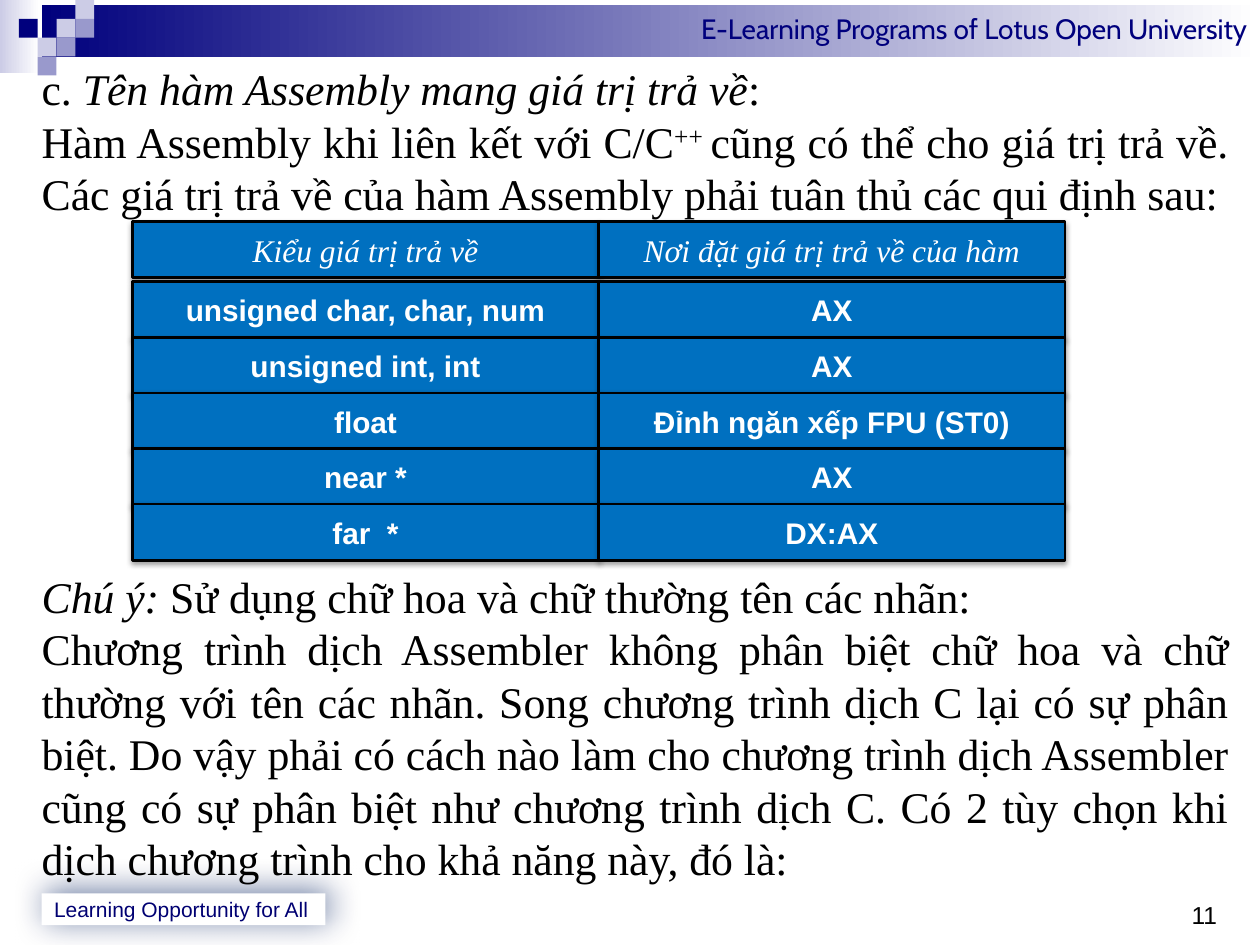
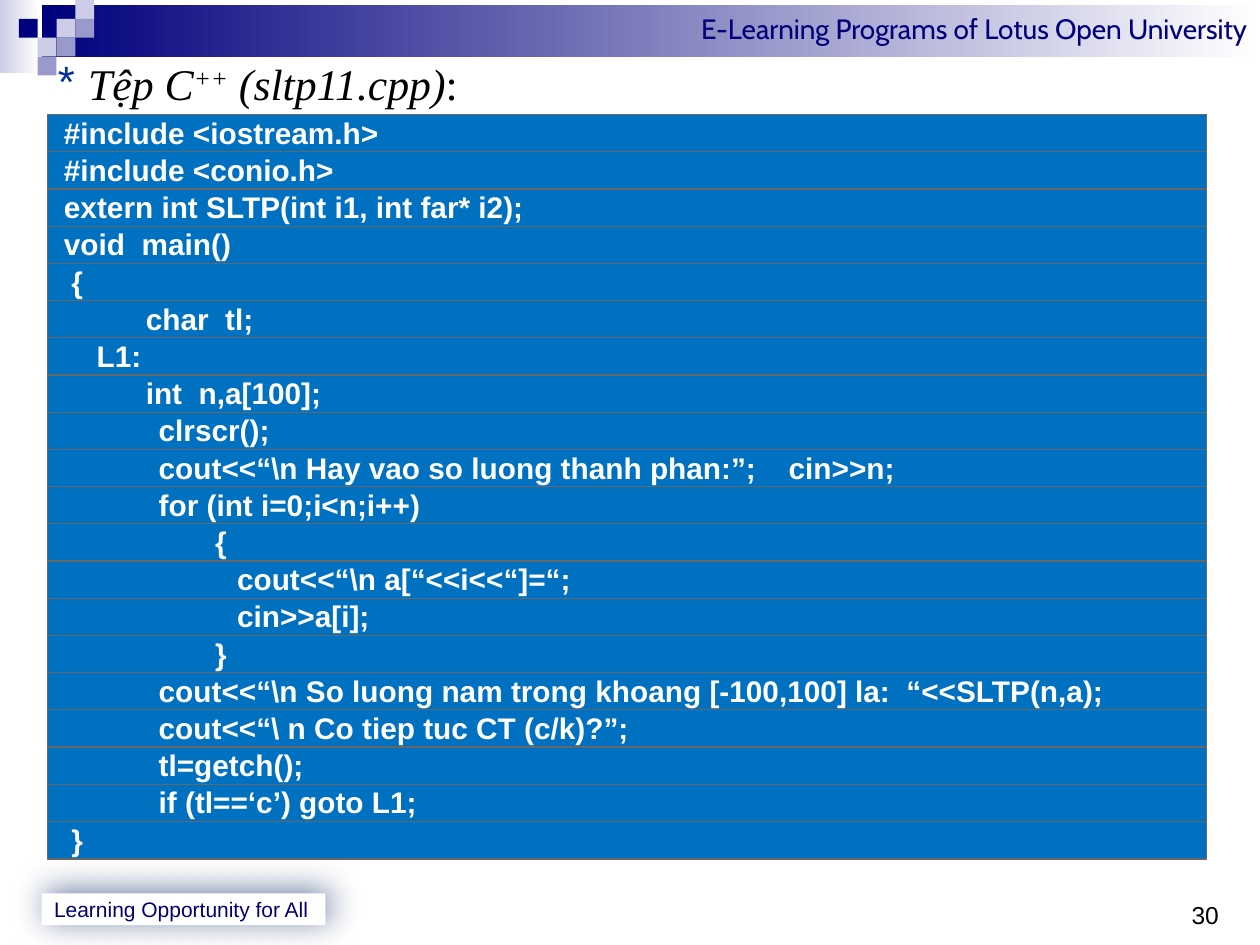
"""Build two lecture slides on calling Assembly functions from C/C++."""
from dataclasses import dataclass, field
from typing import Any

from lxml import etree
from pptx import Presentation
from pptx import util as u
from pptx.dml.color import RGBColor
from pptx.enum import shapes, text
from pptx.oxml import ns

NAVY = RGBColor(0x00, 0x00, 0x7D)
FOOTER_NAVY = RGBColor(0x00, 0x00, 0x72)
GLOW_NAVY = RGBColor(0x00, 0x20, 0x60)
BULLET_BLUE = RGBColor(0x00, 0x33, 0x99)
CELL_BLUE = RGBColor(0x00, 0x70, 0xC0)
PALE = RGBColor(0xCC, 0xCC, 0xE6)
LILAC = RGBColor(0x99, 0x99, 0xCC)
GREY = RGBColor(0x66, 0x66, 0x66)
BLACK = RGBColor(0, 0, 0)
WHITE = RGBColor(0xFF, 0xFF, 0xFF)

RECT = shapes.MSO_SHAPE.RECTANGLE
LEFT, CENTER, RIGHT, JUSTIFY = (
    text.PP_ALIGN.LEFT, text.PP_ALIGN.CENTER, text.PP_ALIGN.RIGHT, text.PP_ALIGN.JUSTIFY)
TOP, MIDDLE = text.MSO_ANCHOR.TOP, text.MSO_ANCHOR.MIDDLE


@dataclass(frozen=True)
class Frame:
    """A place on the slide, in centimetres."""
    left: float
    top: float
    width: float
    height: float

    def lengths(self) -> tuple:
        """Return the four values as lengths."""
        return tuple(map(u.Cm, (self.left, self.top, self.width, self.height)))


@dataclass(frozen=True)
class Style:
    """Font, size and colour of a span."""
    name: str
    size: float
    color: RGBColor
    bold: bool = False
    italic: bool = False


@dataclass(frozen=True)
class Span:
    """Words in one style."""
    words: str
    style: Style
    raised: bool = False


@dataclass(frozen=True)
class Para:
    """A paragraph with its alignment and indents in centimetres."""
    spans: list[Span]
    alignment: Any = LEFT
    margin: float = 0
    hanging: float = 0
    bullet: str = ""
    tab: float = 0
    format: dict[str, Any] = field(default_factory=dict)


@dataclass(frozen=True)
class Shadow:
    """An outer shadow: blur and distance in points, direction in degrees."""
    color: RGBColor
    opacity: int
    blur: float
    distance: float
    direction: int


@dataclass(frozen=True)
class Square:
    """One tile of the corner mosaic."""
    column: int
    row: int
    color: RGBColor


@dataclass(frozen=True)
class CodeLine:
    """A line of source code and its indent in centimetres."""
    indent: float
    words: str


BODY = Style("Times New Roman", 25, BLACK)
BODY_ITALIC = Style("Times New Roman", 25, BLACK, italic=True)
HEADING = Style("Times New Roman", 18, WHITE, italic=True)
CODE = Style("Arial", 17, WHITE, bold=True)
BANNER = Style("Cabin", 16, NAVY)
MOTTO = Style("Arial", 12, FOOTER_NAVY)
NUMBER = Style("Arial", 14, BLACK)
PITCH = {"line_spacing": u.Pt(30)}

CELL_SHADOW = Shadow(BLACK, 38, 3.1, 1.6, 90)
MOTTO_SHADOW = Shadow(GLOW_NAVY, 56, 19, 3, 315)
INSET = (0.25, 0.13)

TILE = 0.38
MOSAIC = [
    Square(3, 1, PALE), Square(4, 0, PALE), Square(4, 1, LILAC), Square(2, 2, PALE),
    Square(1, 1, NAVY), Square(3, 2, LILAC), Square(2, 3, LILAC),
]

RETURN_PLACES = [
    ("Kiểu giá trị trả về", "Nơi đặt giá trị trả về của hàm"),
    ("unsigned char, char, num", "AX"),
    ("unsigned int, int", "AX"),
    ("float", "Đỉnh ngăn xếp FPU (ST0)"),
    ("near *", "AX"),
    ("far  *", "DX:AX"),
]

OUTER, BRACE, LABEL, DECLARED, STATEMENT, LOOP, NESTED = 0.33, 0.48, 0.99, 1.98, 2.24, 3.38, 3.82
PROGRAM = [
    CodeLine(OUTER, "#include <iostream.h>"),
    CodeLine(OUTER, "#include <conio.h>"),
    CodeLine(OUTER, "extern int SLTP(int i1, int far* i2);"),
    CodeLine(OUTER, "void  main()"),
    CodeLine(BRACE, "{"),
    CodeLine(DECLARED, "char  tl;"),
    CodeLine(LABEL, "L1:"),
    CodeLine(DECLARED, "int  n,a[100];"),
    CodeLine(STATEMENT, "clrscr();"),
    CodeLine(STATEMENT, r"cout<<“\n Hay vao so luong thanh phan:”;" + "\tcin>>n;"),
    CodeLine(STATEMENT, "for (int i=0;i<n;i++)"),
    CodeLine(LOOP, "{"),
    CodeLine(NESTED, r"cout<<“\n a[“<<i<<“]=“;"),
    CodeLine(NESTED, "cin>>a[i];"),
    CodeLine(LOOP, "}"),
    CodeLine(STATEMENT, r"cout<<“\n So luong nam trong khoang [-100,100] la:  “<<SLTP(n,a);"),
    CodeLine(STATEMENT, r"cout<<“\ n Co tiep tuc CT (c/k)?”;"),
    CodeLine(STATEMENT, "tl=getch();"),
    CodeLine(STATEMENT, "if (tl==‘c’) goto L1;"),
    CodeLine(BRACE, "}"),
]


def assign(target: Any, values: dict[str, Any]) -> None:
    """Set every named attribute on the target."""
    for name, value in values.items():
        setattr(target, name, value)


def child(parent: Any, tag: str, **attributes: Any) -> Any:
    """Append a drawing element with the given attributes."""
    return etree.SubElement(
        parent, ns.qn(tag), {key: str(value) for key, value in attributes.items()})


def write(box: Any, paras: list[Para], inset: tuple[float, float] = (0, 0),
          anchor: Any = TOP) -> None:
    """Fill a shape with styled paragraphs."""
    across, down = map(u.Cm, inset)
    assign(box.text_frame, {
        "word_wrap": True, "vertical_anchor": anchor, "margin_left": across,
        "margin_right": across, "margin_top": down, "margin_bottom": down})
    for index, para in enumerate(paras):
        line = box.text_frame.add_paragraph() if index else box.text_frame.paragraphs[0]
        assign(line, {"alignment": para.alignment, **para.format})
        properties = line._p.get_or_add_pPr()
        properties.set("marL", str(u.Cm(para.margin)))
        properties.set("indent", str(-u.Cm(para.hanging)))
        if para.bullet:
            child(child(properties, "a:buClr"), "a:srgbClr", val=BULLET_BLUE)
            child(properties, "a:buFont", typeface="Arial")
            child(properties, "a:buChar", char=para.bullet)
        if para.tab:
            child(child(properties, "a:tabLst"), "a:tab", pos=u.Cm(para.tab), algn="l")
        for span in para.spans:
            run = line.add_run()
            run.text = span.words
            style = span.style
            assign(run.font, {"name": style.name, "size": u.Pt(style.size),
                              "bold": style.bold, "italic": style.italic})
            run.font.color.rgb = style.color
            if span.raised:
                run.font._element.set("baseline", "30000")


def draw(page: Any, frame: Frame, fill: RGBColor | tuple[RGBColor, RGBColor] | None = None,
         outline: tuple[RGBColor, float] | None = None, shadow: Shadow | None = None,
         preset: Any = RECT) -> Any:
    """Add a preset shape with a plain or gradient fill."""
    box = page.shapes.add_shape(preset, *frame.lengths())
    if fill is None:
        box.fill.background()
    elif isinstance(fill, RGBColor):
        box.fill.solid()
        box.fill.fore_color.rgb = fill
    else:
        box.fill.gradient()
        box.fill.gradient_angle = 0
        for position, (stop, color) in enumerate(zip(box.fill.gradient_stops, fill)):
            stop.position = position
            stop.color.rgb = color
    if outline:
        box.line.color.rgb, box.line.width = outline[0], u.Pt(outline[1])
    else:
        box.line.fill.background()
    box.shadow.inherit = False
    if shadow:
        effects = box._element.spPr.find(ns.qn("a:effectLst"))
        outer = child(effects, "a:outerShdw", blurRad=u.Pt(shadow.blur),
                      dist=u.Pt(shadow.distance), dir=shadow.direction * 60000,
                      algn="ctr", rotWithShape=0)
        color = child(outer, "a:srgbClr", val=shadow.color)
        child(color, "a:alpha", val=shadow.opacity * 1000)
    return box


def add_page(deck: Any, number: int) -> Any:
    """Add a slide with the banner, mosaic, motto and page number."""
    page = deck.slides.add_slide(deck.slide_layouts[6])
    draw(page, Frame(0, 0, 0.79, 1.47), (PALE, WHITE))
    banner = draw(page, Frame(0.84, 0.1, 24.56, 1.06), (NAVY, WHITE))
    write(banner, [Para([Span("E-Learning Programs of Lotus Open University", BANNER)], RIGHT)],
          INSET)
    for square in MOSAIC:
        draw(page, Frame(square.column * TILE, square.row * TILE, TILE, TILE), square.color)
    motto = draw(page, Frame(0.84, 18.01, 5.72, 0.64), WHITE, shadow=MOTTO_SHADOW)
    write(motto, [Para([Span("Learning Opportunity for All", MOTTO)])], INSET, MIDDLE)
    badge = draw(page, Frame(23.55, 17.88, 1.52, 0.86), preset=shapes.MSO_SHAPE.OVAL)
    write(badge, [Para([Span(str(number), NUMBER)])], INSET)
    return page


def add_body(page: Any, top: float, height: float, paras: list[Para]) -> None:
    """Add a full-width block of body text."""
    write(page.shapes.add_textbox(*Frame(0.84, top, 23.93, height).lengths()), paras)


def build_return_values(deck: Any) -> None:
    """Build the slide on return values of Assembly functions."""
    page = add_page(deck, 11)
    add_body(page, 1.25, 3.18, [
        Para([Span("c. ", BODY), Span("Tên hàm Assembly mang giá trị trả về", BODY_ITALIC),
              Span(":", BODY)], format=PITCH),
        Para([Span("Hàm Assembly khi liên kết với C/C", BODY), Span("++ ", BODY, raised=True),
              Span("cũng có thể cho giá trị trả về. Các giá trị trả về của hàm Assembly "
                   "phải tuân thủ các qui định sau:", BODY)], JUSTIFY, format=PITCH),
    ])
    add_body(page, 11.48, 6.35, [
        Para([Span("Chú ý: ", BODY_ITALIC),
              Span("Sử dụng chữ hoa và chữ thường tên các nhãn:", BODY)], format=PITCH),
        Para([Span("Chương trình dịch Assembler không phân biệt chữ hoa và chữ thường với tên "
                   "các nhãn. Song chương trình dịch C lại có sự phân biệt. Do vậy phải có cách "
                   "nào làm cho chương trình dịch Assembler cũng có sự phân biệt như chương "
                   "trình dịch C. Có 2 tùy chọn khi dịch chương trình cho khả năng này, đó là:",
                   BODY)], JUSTIFY, format=PITCH),
    ])
    width, height, step = 9.4, 1.14, 1.12
    for row, places in enumerate(RETURN_PLACES):
        top = 5.68 + (row - 1) * step if row else 4.46
        for column, words in enumerate(places):
            cell = draw(page, Frame(2.67 + column * width, top, width, height), CELL_BLUE,
                        (BLACK, 1.5), CELL_SHADOW)
            write(cell, [Para([Span(words, CODE if row else HEADING)], CENTER)], INSET, MIDDLE)


def build_program(deck: Any) -> None:
    """Build the slide with the C++ listing."""
    page = add_page(deck, 30)
    add_body(page, 1.14, 1.1, [
        Para([Span("Tệp C", BODY_ITALIC), Span("++", BODY_ITALIC, raised=True),
              Span(" (sltp11.cpp)", BODY_ITALIC), Span(":", BODY)],
             margin=0.94, hanging=0.61, bullet="*", format=PITCH)])
    for row, code in enumerate(PROGRAM):
        strip = draw(page, Frame(0.96, 2.31 + row * 0.75, 23.37, 0.76), CELL_BLUE, (GREY, 0.75))
        write(strip, [Para([Span(code.words, CODE)], margin=code.indent,
                           tab=13.03 if "\t" in code.words else 0)])


def main() -> None:
    """Build and save the deck."""
    deck = Presentation()
    deck.slide_width, deck.slide_height = u.Cm(25.4), u.Cm(19.05)
    build_return_values(deck)
    build_program(deck)
    deck.save("out.pptx")


if __name__ == "__main__":
    main()
